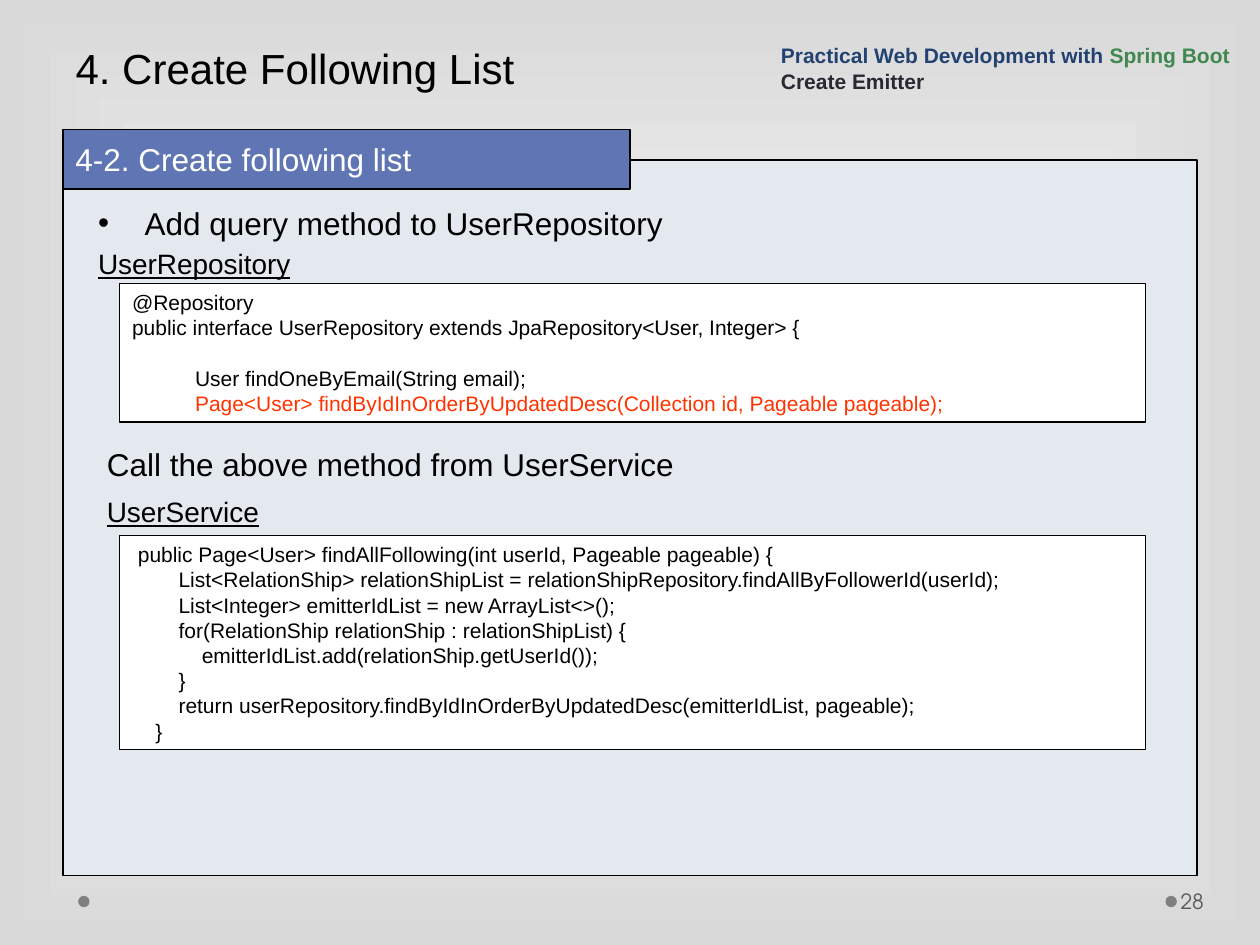
from dataclasses import dataclass

from lxml.etree import SubElement
from pptx import Presentation
from pptx.dml.color import RGBColor
from pptx.enum.shapes import MSO_SHAPE as Shape
from pptx.enum.text import MSO_ANCHOR as Anchor, MSO_AUTO_SIZE as AutoSize, PP_ALIGN as Align
from pptx.oxml.ns import qn
from pptx.util import Inches, Pt

COLORS = {
    "black": "000000", "white": "FFFFFF", "edge": "D9D9D9", "panel": "E4E9EF",
    "banner": "6076B4", "dot": "7F7F7F", "number": "595959", "course": "234271",
    "framework": "40884F", "chapter": "292934", "highlight": "FF3300",
}
TAB_STOP = Inches(0.5)

REPOSITORY_CODE = """@Repository
public interface UserRepository extends JpaRepository<User, Integer> {
\t
\tUser findOneByEmail(String email);
\tPage<User> findByIdInOrderByUpdatedDesc(Collection id, Pageable pageable);"""

SERVICE_CODE = """ public Page<User> findAllFollowing(int userId, Pageable pageable) {
        List<RelationShip> relationShipList = relationShipRepository.findAllByFollowerId(userId);
        List<Integer> emitterIdList = new ArrayList<>();
        for(RelationShip relationShip : relationShipList) {
            emitterIdList.add(relationShip.getUserId());
        }
        return userRepository.findByIdInOrderByUpdatedDesc(emitterIdList, pageable);
    }"""


@dataclass
class Box:
    left: float
    top: float
    width: float
    height: float

    def lengths(self) -> list:
        return [Inches(v) for v in (self.left, self.top, self.width, self.height)]


@dataclass
class Label:
    box: Box
    text: str
    size: int
    underline: bool = False
    bullet: bool = False


LABELS = [
    Label(Box(0.68, 1.57, 7.74, 0.4), "Add query method to UserRepository", 18, bullet=True),
    Label(Box(0.68, 1.91, 1.86, 0.37), "UserRepository", 16, underline=True),
    Label(Box(0.75, 3.48, 5.99, 0.4), "Call the above method from UserService", 18),
    Label(Box(0.75, 3.88, 1.86, 0.37), "UserService", 16, underline=True),
]


def rgb(color: str) -> RGBColor:
    return RGBColor.from_string(COLORS[color])


def style_font(font, size: int, color: str, name: str = "Arial") -> None:
    font.name = name
    font.size = Pt(size)
    font.color.rgb = rgb(color)


def write(shape, text: str, size: int, color: str, anchor=Anchor.TOP):
    """Fill a shape with left-aligned text in one style."""
    frame = shape.text_frame
    frame.text = text
    frame.word_wrap = True
    frame.auto_size = AutoSize.NONE
    frame.vertical_anchor = anchor
    for paragraph in frame.paragraphs:
        paragraph.alignment = Align.LEFT
        for run in paragraph.runs:
            style_font(run.font, size, color)
    return frame


def add_filled(slide, kind, box: Box, fill: str, outlined: bool = True):
    shape = slide.shapes.add_shape(kind, *box.lengths())
    shape.shadow.inherit = False
    shape.fill.solid()
    shape.fill.fore_color.rgb = rgb(fill)
    if outlined:
        shape.line.color.rgb = rgb("black")
        shape.line.width = Pt(0.75)
    else:
        shape.line.fill.background()
    return shape


def add_label(slide, label: Label) -> None:
    frame = write(slide.shapes.add_textbox(*label.box.lengths()), label.text, label.size, "black")
    paragraph = frame.paragraphs[0]
    paragraph.runs[0].font.underline = label.underline or None
    if label.bullet:
        properties = paragraph._p.get_or_add_pPr()
        properties.set("marL", str(Inches(0.37)))
        properties.set("indent", str(-Inches(0.37)))
        SubElement(properties, qn("a:buFont"), typeface="Arial")
        SubElement(properties, qn("a:buChar"), char="•")


def add_code(slide, box: Box, code: str):
    frame = write(add_filled(slide, Shape.RECTANGLE, box, "white"), code, 12, "black")
    for paragraph in frame.paragraphs:
        tabs = SubElement(paragraph._p.get_or_add_pPr(), qn("a:tabLst"))
        SubElement(tabs, qn("a:tab"), pos=str(TAB_STOP), algn="l")
    return frame


def paint_background(slide) -> None:
    """Rectangular gradient, light in the middle."""
    fill = slide.background.fill
    fill.gradient()
    for stop, color in zip(fill.gradient_stops, ("white", "edge")):
        stop.color.rgb = rgb(color)
    gradient = slide.element.find(".//" + qn("a:gradFill"))
    gradient.remove(gradient.find(qn("a:lin")))
    shape_of_gradient = SubElement(gradient, qn("a:path"), path="rect")
    SubElement(shape_of_gradient, qn("a:fillToRect"),
               {side: "50000" for side in "ltrb"})


def add_title(slide) -> None:
    title = slide.shapes.title
    title.left, title.top, title.width, title.height = Box(0.5, 0, 9, 0.79).lengths()
    frame = write(title, "4. Create Following List", 24, "black", Anchor.BOTTOM)
    frame.paragraphs[0].line_spacing = Pt(57.9)


def add_course_header(slide) -> None:
    header = slide.shapes.add_textbox(*Box(6.1, 0.24, 3.9, 0.55).lengths())
    frame = write(header, "Practical Web Development with \nCreate Emitter", 12, "course",
                  Anchor.BOTTOM)
    course, chapter = frame.paragraphs
    framework = course.add_run()
    framework.text = "Spring Boot"
    style_font(framework.font, 12, "framework")
    chapter.runs[0].font.color.rgb = rgb("chapter")
    for run in (*course.runs, *chapter.runs):
        run.font.bold = True


def add_footer(slide) -> None:
    for left in (9.25, 0.62):
        add_filled(slide, Shape.OVAL, Box(left, 7.11, 0.09, 0.09), "dot", outlined=False)
    number = slide.shapes.add_textbox(*Box(9.34, 6.95, 0.61, 0.4).lengths())
    frame = write(number, "28", 12, "number", Anchor.MIDDLE)
    frame.margin_left = Inches(0.03)
    frame.margin_right = Inches(0.05)
    frame.paragraphs[0].runs[0].font.name = "TeX Gyre Adventor"


def main() -> None:
    deck = Presentation()
    deck.slide_width, deck.slide_height = Inches(10), Inches(7.5)
    slide = deck.slides.add_slide(deck.slide_layouts[5])

    paint_background(slide)
    add_footer(slide)
    add_title(slide)
    add_course_header(slide)
    add_filled(slide, Shape.RECTANGLE, Box(0.5, 1.27, 9, 5.68), "panel")
    banner = add_filled(slide, Shape.RECTANGLE, Box(0.5, 1.03, 4.5, 0.47), "banner")
    write(banner, "4-2. Create following list", 18, "white", Anchor.MIDDLE)
    for label in LABELS:
        add_label(slide, label)
    repository = add_code(slide, Box(0.95, 2.25, 8.14, 1.1), REPOSITORY_CODE)
    repository.paragraphs[-1].runs[0].font.color.rgb = rgb("highlight")
    add_code(slide, Box(0.95, 4.25, 8.14, 1.7), SERVICE_CODE)

    deck.save("out.pptx")


if __name__ == "__main__":
    main()
